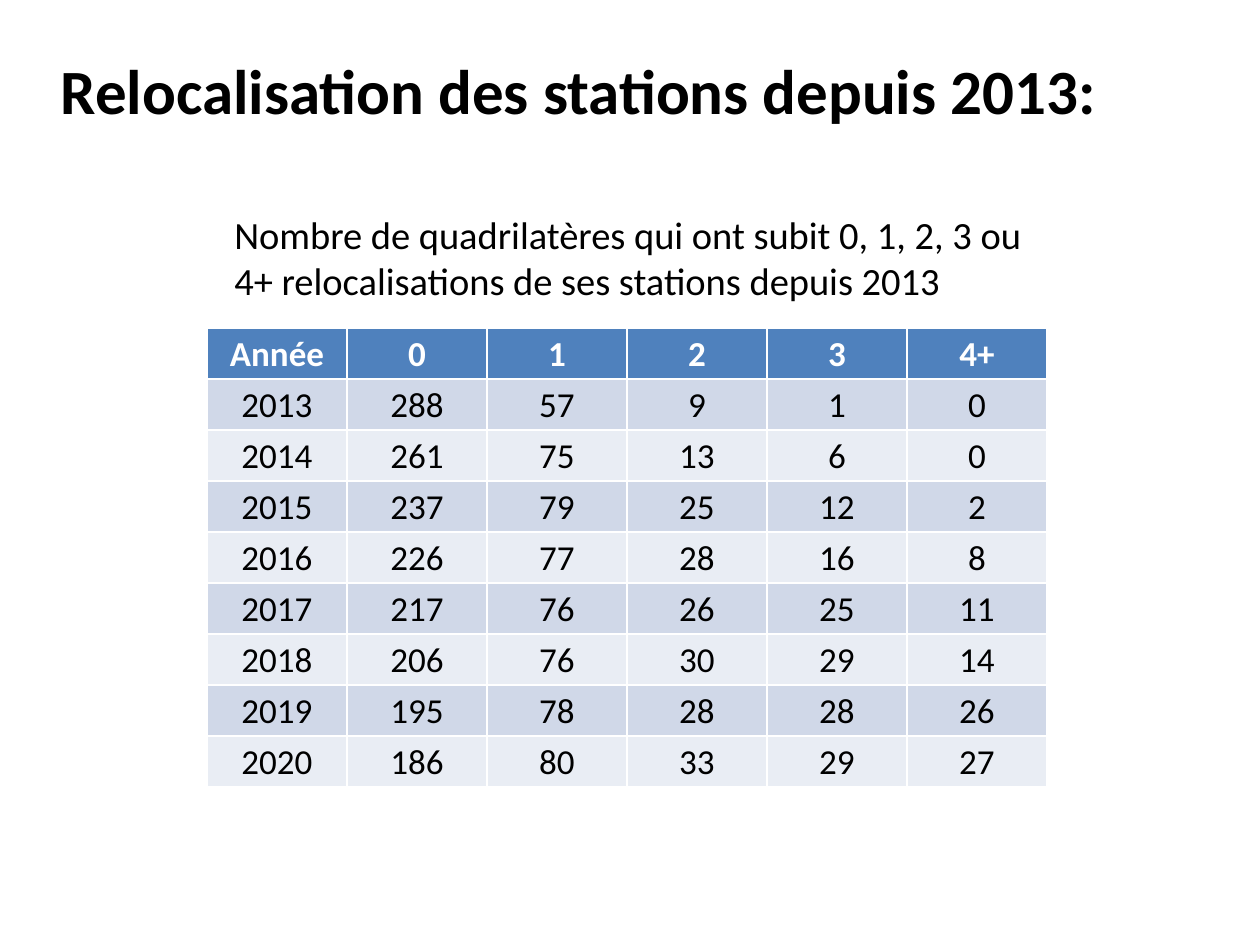
"""Builds a slide with a table of station relocations per year since 2013."""
import pptx
import pptx.util
import pptx.dml.color
import pptx.enum.text

TITLE = "Relocalisation des stations depuis 2013:"
CAPTION = "Nombre de quadrilatères qui ont subit 0, 1, 2, 3 ou 4+ relocalisations de ses stations depuis 2013"
HEADER = ("Année", "0", "1", "2", "3", "4+")
RELOCATIONS = [
    (2013, 288, 57, 9, 1, 0),
    (2014, 261, 75, 13, 6, 0),
    (2015, 237, 79, 25, 12, 2),
    (2016, 226, 77, 28, 16, 8),
    (2017, 217, 76, 26, 25, 11),
    (2018, 206, 76, 30, 29, 14),
    (2019, 195, 78, 28, 28, 26),
    (2020, 186, 80, 33, 29, 27),
]
COLORS = {"header": "4F81BD", "odd": "D0D8E8", "even": "E9EDF4",
          "text": "000000", "header_text": "FFFFFF"}
FONT = "Calibri"
PX = pptx.util.Inches(1) // 126
COLUMN_WIDTH, ROW_HEIGHT = 140, 51
ALIGN = pptx.enum.text.PP_ALIGN
ANCHOR = pptx.enum.text.MSO_ANCHOR


def px(*lengths):
    return [length * PX for length in lengths]


def rgb(name):
    return pptx.dml.color.RGBColor.from_string(COLORS[name])


def write(frame, text, size, color="text", bold=False, align=ALIGN.LEFT,
          anchor=ANCHOR.TOP, wrap=None, spacing=None):
    frame.text = text
    frame.vertical_anchor = anchor
    if wrap is not None:
        frame.word_wrap = wrap
        frame.auto_size = pptx.enum.text.MSO_AUTO_SIZE.SHAPE_TO_FIT_TEXT
    paragraph = frame.paragraphs[0]
    paragraph.alignment = align
    paragraph.line_spacing = spacing
    font = paragraph.runs[0].font
    font.name, font.size, font.bold = FONT, pptx.util.Pt(size), bold
    font.color.rgb = rgb(color)


def fill_cell(cell, text, fill, **text_format):
    cell.margin_left = cell.margin_right = cell.margin_top = cell.margin_bottom = 0
    cell.fill.solid()
    cell.fill.fore_color.rgb = rgb(fill)
    write(cell.text_frame, text, 20, align=ALIGN.CENTER, spacing=1.07, **text_format)
    cell.vertical_anchor = ANCHOR.MIDDLE


def add_relocations(slide):
    rows = [HEADER, *RELOCATIONS]
    columns = len(HEADER)
    table = slide.shapes.add_table(
        len(rows), columns,
        *px(207, 328, columns * COLUMN_WIDTH, len(rows) * ROW_HEIGHT)).table
    for r, row in enumerate(rows):
        for c, value in enumerate(row):
            if r == 0:
                fill_cell(table.cell(r, c), value, "header", color="header_text", bold=True)
            else:
                fill_cell(table.cell(r, c), str(value), "odd" if r % 2 else "even")


def main():
    deck = pptx.Presentation()
    deck.slide_width, deck.slide_height = px(1260, 945)
    slide = deck.slides.add_slide(deck.slide_layouts[5])
    title = slide.shapes.title
    title.left, title.top, title.width, title.height = px(48, 45, 1077, 89)
    write(title.text_frame, TITLE, 36, bold=True, wrap=False)
    add_relocations(slide)
    caption = slide.shapes.add_textbox(*px(222, 205, 849, 106))
    write(caption.text_frame, CAPTION, 22, wrap=True)
    deck.save("out.pptx")


if __name__ == "__main__":
    main()
